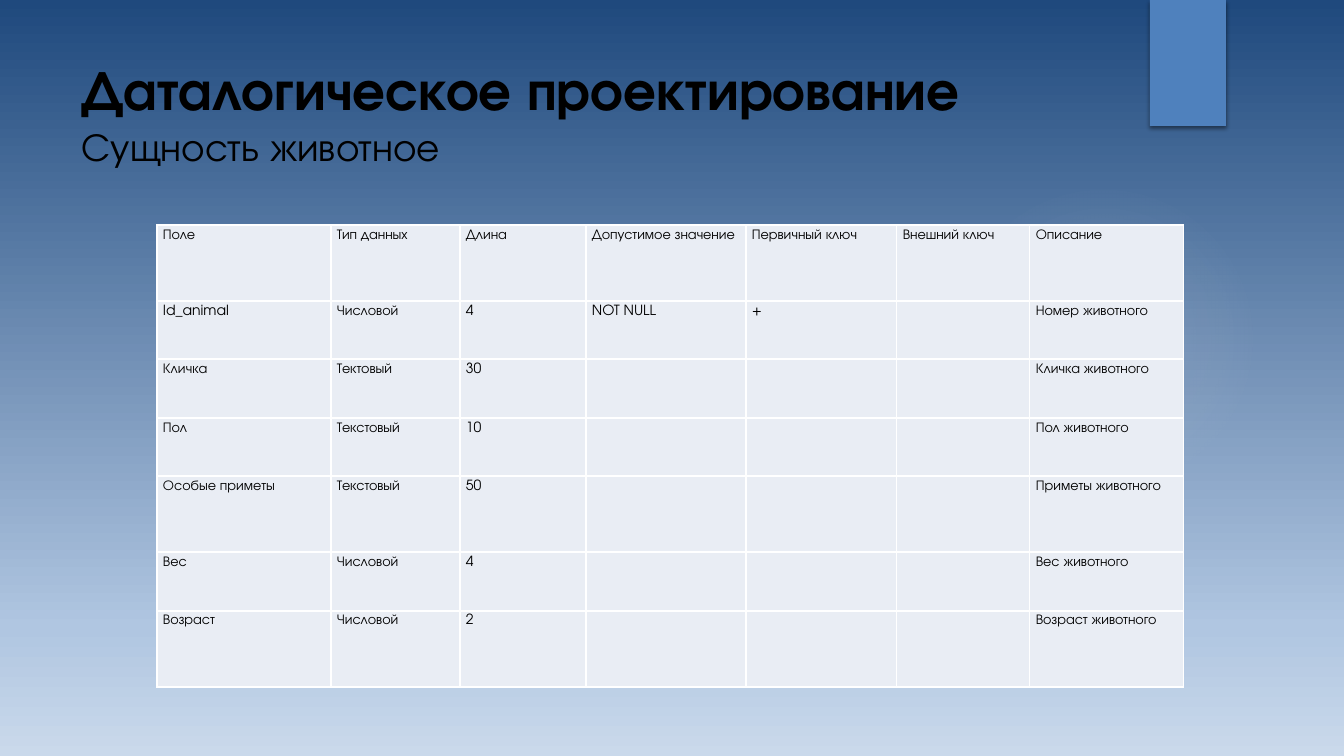
from lxml.etree import SubElement as Sub
from pptx import Presentation
from pptx.dml.color import RGBColor
from pptx.enum.shapes import MSO_SHAPE as Shape
from pptx.enum.text import MSO_ANCHOR as Anchor
from pptx.oxml.ns import qn
from pptx.util import Emu, Pt

FONT = "TeX Gyre Adventor"
BLACK, WHITE, BLUE, PALE = "000000", "FFFFFF", "4F81BD", "E9EDF4"
COLUMNS = [174, 129, 126, 160, 151, 133, 154]
ROWS = [76, 58, 59, 58, 76, 59, 76]
FIELDS = [
    ["Поле", "Тип данных", "Длина", "Допустимое значение",
     "Первичный ключ", "Внешний ключ", "Описание"],
    ["Id_animal", "Числовой", "4", "NOT NULL", "+", "", "Номер животного"],
    ["Кличка", "Тектовый", "30", "", "", "", "Кличка животного"],
    ["Пол", "Текстовый", "10", "", "", "", "Пол животного"],
    ["Особые приметы", "Текстовый", "50", "", "", "", "Приметы животного"],
    ["Вес", "Числовой", "4", "", "", "", "Вес животного"],
    ["Возраст", "Числовой", "2", "", "", "", "Возраст животного"],
]


def px(n):
    """Turn pixels into EMU."""
    return Emu(round(n * 914400 / 100.8))


def rgb(color):
    """Turn a hex string into a colour."""
    return RGBColor.from_string(color)


def add_color(parent, color, alpha=100):
    """Append a colour with its opacity in percent."""
    clr = Sub(parent, qn("a:srgbClr"), val=color)
    if alpha < 100:
        Sub(clr, qn("a:alpha"), val=str(alpha * 1000))


def set_gradient(fill, element, stops, circle=False):
    """Give a fill its gradient stops, running down or out from the centre."""
    fill.gradient()
    grad = element.find(".//" + qn("a:gradFill"))
    for child in list(grad):
        grad.remove(child)
    stop_list = Sub(grad, qn("a:gsLst"))
    for position, color, alpha in stops:
        stop = Sub(stop_list, qn("a:gs"), pos=str(position * 1000))
        add_color(stop, color, alpha)
    if circle:
        center = Sub(grad, qn("a:path"), path="circle")
        Sub(center, qn("a:fillToRect"), l="50000", t="50000", r="50000", b="50000")
    else:
        Sub(grad, qn("a:lin"), ang="5400000", scaled="0")


def add_shape(s, kind, x, y, w, h):
    """Add a preset shape without line or inherited shadow."""
    sp = s.shapes.add_shape(kind, px(x), px(y), px(w), px(h))
    sp.shadow.inherit = False
    sp.line.fill.background()
    return sp


def add_glow(s, x, y, size):
    """Add a faint round glow."""
    sp = add_shape(s, Shape.OVAL, x, y, size, size)
    stops = [(0, "F5F4ED", 7), (36, "F5F4ED", 6), (69, "F5F4ED", 0)]
    set_gradient(sp.fill, sp.element, stops, circle=True)


def add_ribbon(s, x, y, w, h):
    """Add the blue ribbon with a soft shadow below it."""
    sp = add_shape(s, Shape.RECTANGLE, x, y, w, h)
    sp.fill.solid()
    sp.fill.fore_color.rgb = rgb(BLUE)
    effects = sp.element.spPr.find(qn("a:effectLst"))
    shadow = Sub(effects, qn("a:outerShdw"), blurRad=str(Pt(3)), dist=str(Pt(2)),
                 dir="5400000", rotWithShape="0")
    add_color(shadow, BLACK, 45)


def add_run(p, text, size, bold=False):
    """Add one black run to a paragraph."""
    r = p.add_run()
    r.text = text
    r.font.name, r.font.size, r.font.bold = FONT, Pt(size), bold
    r.font.color.rgb = rgb(BLACK)


def add_title(s, x, y, w, h):
    """Add the heading with its subheading."""
    tf = s.shapes.add_textbox(px(x), px(y), px(w), px(h)).text_frame
    tf.word_wrap = True
    tf.vertical_anchor = Anchor.TOP
    p = tf.paragraphs[0]
    add_run(p, "Даталогическое проектирование", 40, bold=True)
    p.add_line_break()
    add_run(p, "Сущность животное", 28)


def format_cell(cell, text):
    """Fill, border and write one table cell."""
    cell.margin_left = cell.margin_right = px(6)
    cell.margin_top = cell.margin_bottom = px(3)
    tc_pr = cell._tc.get_or_add_tcPr()
    for side in ("lnL", "lnR", "lnT", "lnB"):
        line = Sub(tc_pr, qn("a:" + side), w=str(Pt(1)))
        add_color(Sub(line, qn("a:solidFill")), WHITE)
    cell.fill.solid()
    cell.fill.fore_color.rgb = rgb(PALE)
    if text:
        p = cell.text_frame.paragraphs[0]
        p.line_spacing = 1.07
        add_run(p, text, 10)


def add_field_table(s, x, y):
    """Add the table of entity fields."""
    frame = s.shapes.add_table(len(ROWS), len(COLUMNS), px(x), px(y),
                               px(sum(COLUMNS)), px(sum(ROWS)))
    table = frame.table
    table.first_row = table.horz_banding = False
    for column, width in zip(table.columns, COLUMNS):
        column.width = px(width)
    for row, height, texts in zip(table.rows, ROWS, FIELDS):
        row.height = px(height)
        for cell, text in zip(row.cells, texts):
            format_cell(cell, text)


def main():
    """Build and save the slide."""
    prs = Presentation()
    prs.slide_width, prs.slide_height = px(1344), px(756)
    s = prs.slides.add_slide(prs.slide_layouts[6])
    stops = [(0, "F6F9FC", 100), (0, "1F497D", 100),
             (83, "B0C6E1", 100), (100, "CAD9EB", 100)]
    set_gradient(s.background.fill, s.element, stops)
    add_glow(s, 949, 184, 310)
    add_ribbon(s, 1150, 0, 76, 126)
    add_title(s, 72, 50, 1037, 154)
    add_field_table(s, 157, 225)
    prs.save("out.pptx")


if __name__ == "__main__":
    main()
